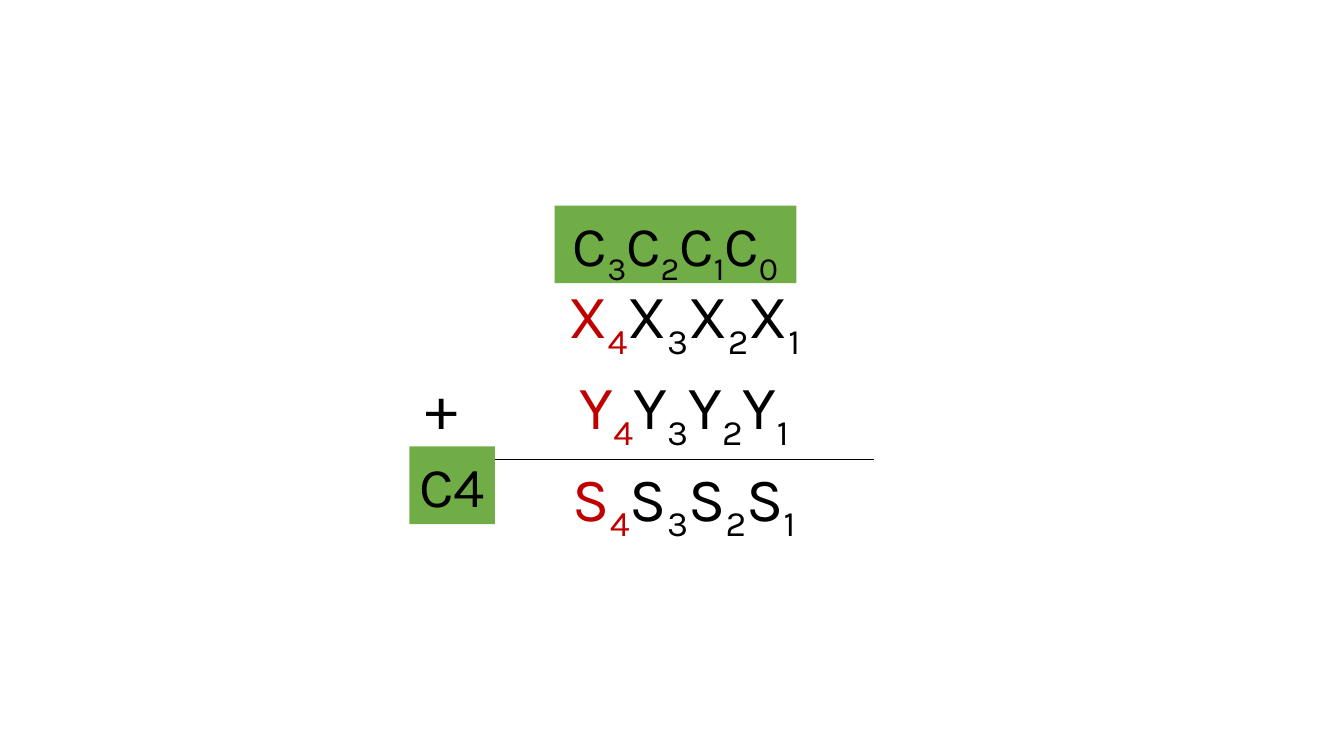
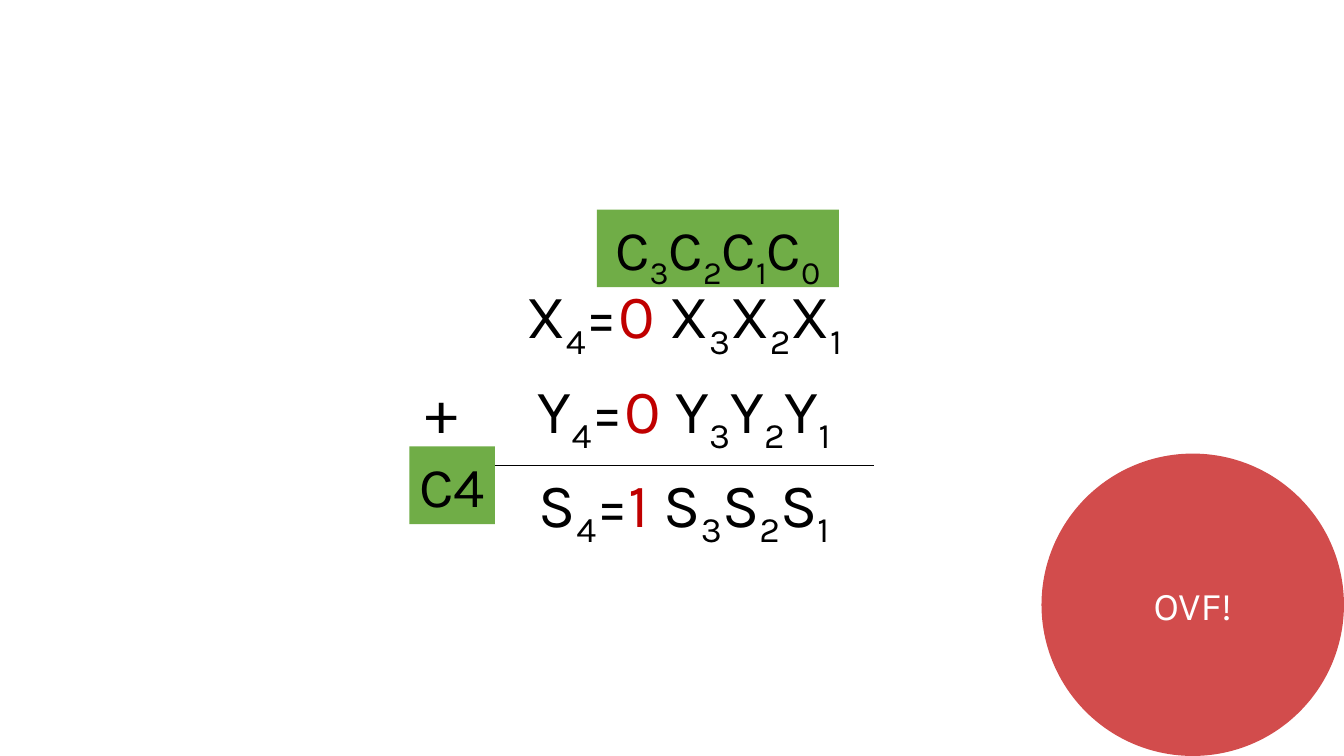
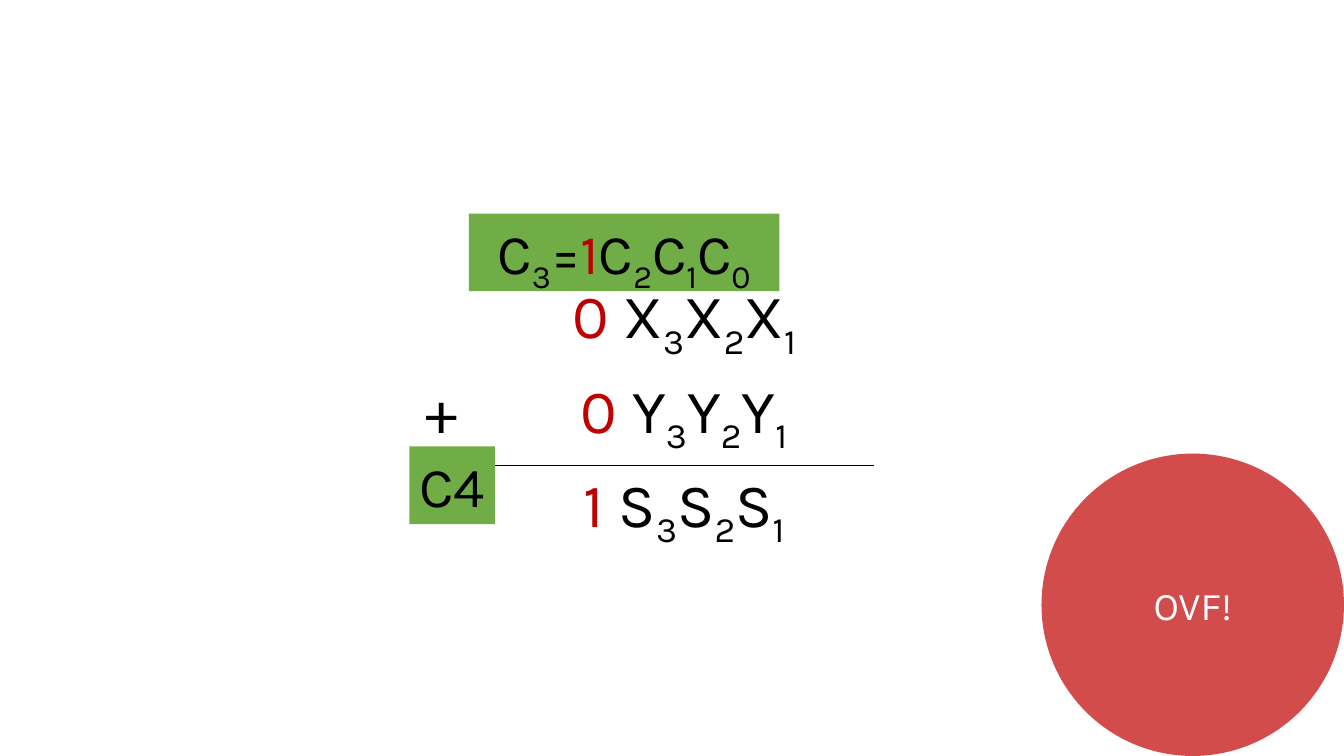
from lxml.etree import SubElement
from pptx import Presentation
from pptx.dml.color import RGBColor
from pptx.enum.shapes import MSO_SHAPE as Shape
from pptx.enum.text import MSO_ANCHOR as Anchor, MSO_AUTO_SIZE as AutoSize, PP_ALIGN as Align
from pptx.oxml import parse_xml
from pptx.oxml.ns import nsdecls, qn
from pptx.util import Inches, Pt

COLORS = {"ink": "000000", "red": "C00000", "green": "70AD47", "white": "FFFFFF"}
FONT = "Karla"
PLAIN_TABLE = "{2D5ABB26-0587-4C30-8999-92F81FD0307C}"
CARRIES = "C_3_C_2_C_1_C_0"


def rgb(name):
    return RGBColor.from_string(COLORS[name])


class AdditionDeck:
    def __init__(self):
        self.deck = Presentation()
        self.deck.slide_width, self.deck.slide_height = Inches(13.33), Inches(7.5)
        self.slide = None

    def new_slide(self):
        self.slide = self.deck.slides.add_slide(self.deck.slide_layouts[6])

    def formula_text(self, frame, formula, size, color="ink"):
        """Fill a text frame: |...| turns red, _..._ turns subscript."""
        line = frame.paragraphs[0]
        line.alignment = Align.CENTER
        line.font.name, line.font.size = FONT, Pt(size)
        line.font.color.rgb = rgb(color)
        for span_no, span in enumerate(formula.split("|")):
            for piece_no, piece in enumerate(span.split("_")):
                if not piece:
                    continue
                run = line.add_run()
                run.text = piece
                if span_no % 2:
                    run.font.color.rgb = rgb("red")
                if piece_no % 2:
                    run._r.get_or_add_rPr().set("baseline", "-25000")

    def rule(self, cell, edge):
        """Draw a thin line on one edge of a cell: lnT or lnB."""
        cell._tc.get_or_add_tcPr().insert(0, parse_xml(
            f'<a:{edge} {nsdecls("a")} w="12700"><a:solidFill>'
            f'<a:srgbClr val="{COLORS["ink"]}"/></a:solidFill></a:{edge}>'))

    def column_addition(self, x, y, s):
        frame = self.slide.shapes.add_table(
            3, 3, Inches(3.87), Inches(2.75), Inches(5.58), Inches(2.5))
        table = frame.table
        table.first_row = table.horz_banding = False
        table._tbl.tblPr.find(qn("a:tableStyleId")).text = PLAIN_TABLE
        for column, width in zip(table.columns, (1.03, 3.77, 0.78)):
            column.width = Inches(width)
        for cell in table.iter_cells():
            cell.fill.background()
        for row, formula in enumerate((x, y, s)):
            self.formula_text(table.cell(row, 1).text_frame, formula, 44)
        self.formula_text(table.cell(1, 0).text_frame, "+", 44)
        self.rule(table.cell(1, 1), "lnB")
        self.rule(table.cell(2, 1), "lnT")

    def carry_box(self, formula, left, top, width):
        box = self.slide.shapes.add_textbox(
            Inches(left), Inches(top), Inches(width), Inches(0.77))
        box.fill.solid()
        box.fill.fore_color.rgb = rgb("green")
        box.text_frame.word_wrap = False
        box.text_frame.auto_size = AutoSize.SHAPE_TO_FIT_TEXT
        self.formula_text(box.text_frame, formula, 40)

    def overflow_badge(self):
        badge = self.slide.shapes.add_shape(
            Shape.OVAL, Inches(10.33), Inches(4.5), Inches(3), Inches(3))
        badge.shadow.inherit = False
        badge.line.fill.background()
        badge.fill.solid()
        badge.fill.fore_color.rgb = rgb("red")
        tint = badge._element.spPr.find(qn("a:solidFill"))[0]
        SubElement(tint, qn("a:alpha"), val="70000")
        badge.text_frame.word_wrap = True
        badge.text_frame.vertical_anchor = Anchor.MIDDLE
        self.formula_text(badge.text_frame, "OVF!", 28, "white")


def terms(pattern):
    """Fill a row pattern for the two summands and the sum; # is the sign bit."""
    return [pattern.replace("N", letter).replace("#", sign)
            for letter, sign in zip("XYS", "001")]


def main():
    deck = AdditionDeck()
    slides = (
        ("|N_4_|N_3_N_2_N_1", (CARRIES, 5.5, 2.04, 2.4), False),
        ("N_4_=|# |N_3_N_2_N_1", (CARRIES, 5.92, 2.08, 2.4), True),
        ("|# |N_3_N_2_N_1", ("C_3_=|1|C_2_C_1_C_0", 4.65, 2.12, 3.08), True),
    )
    for pattern, carries, overflow in slides:
        deck.new_slide()
        deck.column_addition(*terms(pattern))
        deck.carry_box("C4", 4.06, 4.43, 0.85)
        deck.carry_box(*carries)
        if overflow:
            deck.overflow_badge()
    deck.deck.save("out.pptx")


if __name__ == "__main__":
    main()
